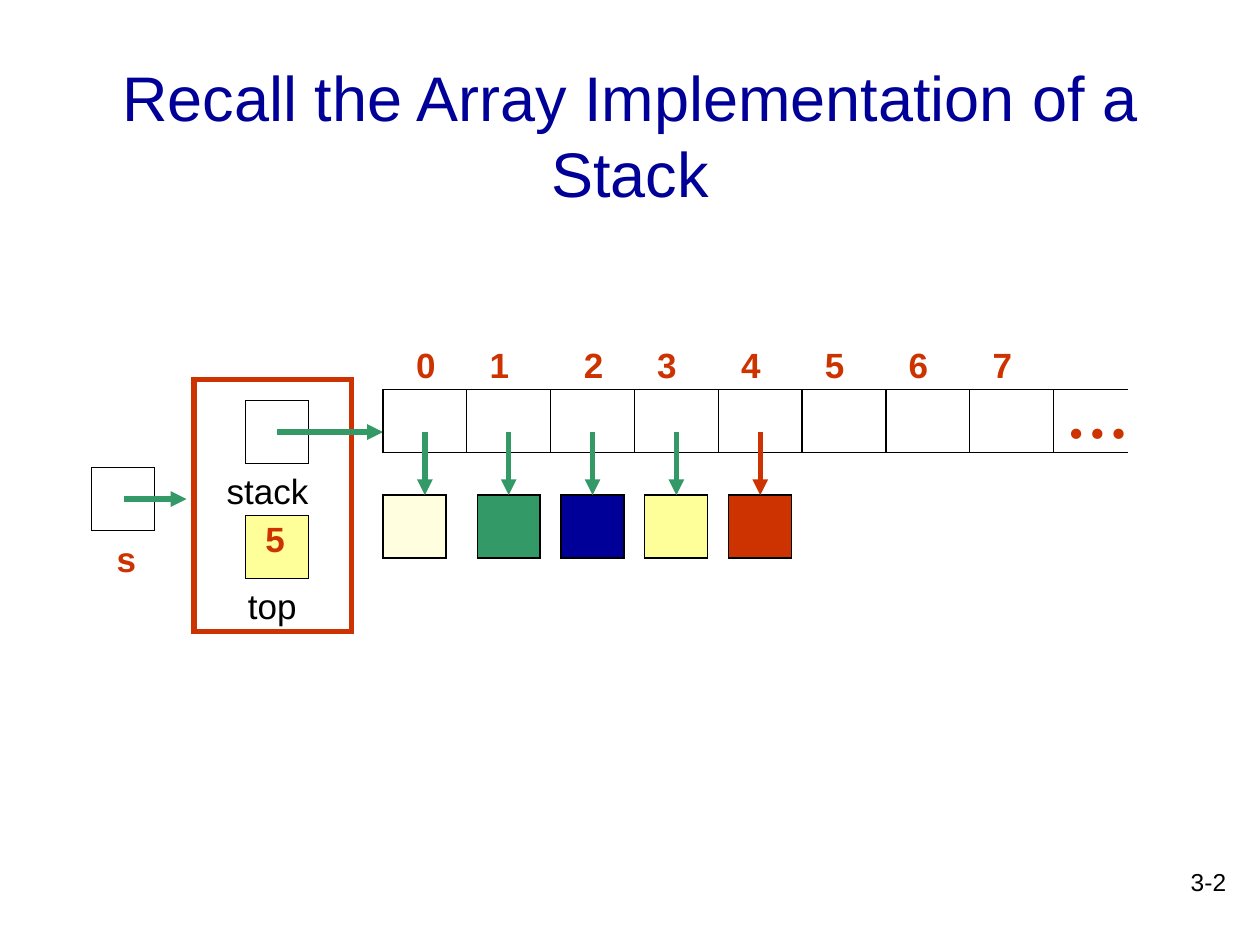
from dataclasses import dataclass
from typing import Optional

from lxml import etree
from pptx import Presentation
from pptx import util as u
from pptx.dml.color import RGBColor
from pptx.enum import shapes, text
from pptx.oxml import ns

HUES = {
    "black": "000000",
    "navy": "000099",
    "green": "339966",
    "red": "CC3300",
    "lemon": "FFFF99",
    "cream": "FFFFDF",
}
SIDE = 1.27
STEP = 1.69
LEFT = 7.72
TOP = 7.85
COUNT = 8
MID = 8.71
LOW = 9.98
END = LEFT + COUNT * STEP


@dataclass
class Box:
    x: float
    y: float
    wide: float = SIDE
    high: float = SIDE
    fill: Optional[str] = None
    line: str = "black"
    size: float = 0.75


@dataclass
class Note:
    words: str
    x: float
    y: float
    wide: float = 1.07
    high: float = 1.09
    hue: str = "red"
    size: int = 20
    bold: bool = True
    face: str = "Arial"
    align: text.PP_ALIGN = text.PP_ALIGN.LEFT
    anchor: text.MSO_ANCHOR = text.MSO_ANCHOR.TOP


@dataclass
class Ray:
    x: float
    y: float
    to_x: float
    to_y: float
    hue: str = "green"
    size: float = 3
    head: bool = True


def tint(name: str) -> RGBColor:
    return RGBColor.from_string(HUES[name])


def apply(target, values: dict) -> None:
    for key, value in values.items():
        setattr(target, key, value)


def draw_box(slide, box: Box) -> None:
    shape = slide.shapes.add_shape(
        shapes.MSO_SHAPE.RECTANGLE,
        u.Cm(box.x), u.Cm(box.y), u.Cm(box.wide), u.Cm(box.high))
    shape.shadow.inherit = False
    if box.fill:
        shape.fill.solid()
        shape.fill.fore_color.rgb = tint(box.fill)
    else:
        shape.fill.background()
    shape.line.color.rgb = tint(box.line)
    shape.line.width = u.Pt(box.size)
    stroke = shape.line._get_or_add_ln()
    etree.SubElement(stroke, ns.qn("a:miter"), lim="800000")


def draw_note(slide, note: Note) -> None:
    frame = slide.shapes.add_textbox(
        u.Cm(note.x), u.Cm(note.y), u.Cm(note.wide), u.Cm(note.high)).text_frame
    apply(frame, {"word_wrap": True, "vertical_anchor": note.anchor})
    para = frame.paragraphs[0]
    para.alignment = note.align
    run = para.add_run()
    run.text = note.words
    apply(run.font, {"name": note.face, "size": u.Pt(note.size), "bold": note.bold})
    run.font.color.rgb = tint(note.hue)


def draw_ray(slide, ray: Ray) -> None:
    link = slide.shapes.add_connector(
        shapes.MSO_CONNECTOR.STRAIGHT,
        u.Cm(ray.x), u.Cm(ray.y), u.Cm(ray.to_x), u.Cm(ray.to_y))
    link.line.color.rgb = tint(ray.hue)
    link.line.width = u.Pt(ray.size)
    if ray.head:
        stroke = link.line._get_or_add_ln()
        etree.SubElement(stroke, ns.qn("a:tailEnd"), type="triangle")
    etree.SubElement(link._element.spPr, ns.qn("a:effectLst"))


def draw_stack(slide) -> None:
    draw_box(slide, Box(4.95, 10.39, fill="lemon"))
    draw_box(slide, Box(4.95, 8.08))
    draw_box(slide, Box(3.91, 7.65, 3.18, 5.08, line="red", size=3))
    draw_box(slide, Box(1.85, 9.42))
    for note in (
        Note("stack", 4.32, 9.35, 2.54, hue="black", bold=False),
        Note("5", 5.1, 10.31, 0.99),
        Note("top", 4.75, 11.66, 1.9, hue="black", bold=False),
        Note("s", 2.1, 10.72, 1.27),
    ):
        draw_note(slide, note)
    draw_ray(slide, Ray(5.59, MID, LEFT, MID))
    draw_ray(slide, Ray(2.49, 10.06, 3.76, 10.06))


def draw_list(slide) -> None:
    for slot in range(COUNT):
        x = LEFT + slot * STEP
        draw_box(slide, Box(x, TOP, STEP))
        shift = 0.42 if slot in (0, 2) else 0.21
        draw_note(slide, Note(str(slot), x + shift, 6.81))
    for slot, fill in enumerate(("cream", "green", "navy", "lemon", "red")):
        x = LEFT + slot * STEP
        draw_box(slide, Box(x + (0.21 if slot else 0), LOW, fill=fill))
        hue = "red" if fill == "red" else "green"
        mid = x + STEP / 2
        draw_ray(slide, Ray(mid, MID, mid, LOW, hue))
    for y in (TOP, TOP + SIDE):
        draw_ray(slide, Ray(END, y, 22.73, y, "black", 0.75, False))
    draw_note(slide, Note("…", END, 7.44, 1.7, 1.78, size=36, face="Times New Roman"))


def main() -> None:
    deck = Presentation()
    apply(deck, {"slide_width": u.Cm(25.4), "slide_height": u.Cm(19.05)})
    slide = deck.slides.add_slide(deck.slide_layouts[6])
    draw_note(slide, Note(
        "Recall the Array Implementation of a Stack", 1.9, 1.12, 21.6, 3.18,
        "navy", 36, False, align=text.PP_ALIGN.CENTER, anchor=text.MSO_ANCHOR.MIDDLE))
    draw_stack(slide)
    draw_list(slide)
    draw_note(slide, Note(
        "3-2", 19.69, 17.35, 5.28, 1.27, "black", 14, False,
        align=text.PP_ALIGN.RIGHT))
    deck.save("out.pptx")


if __name__ == "__main__":
    main()
